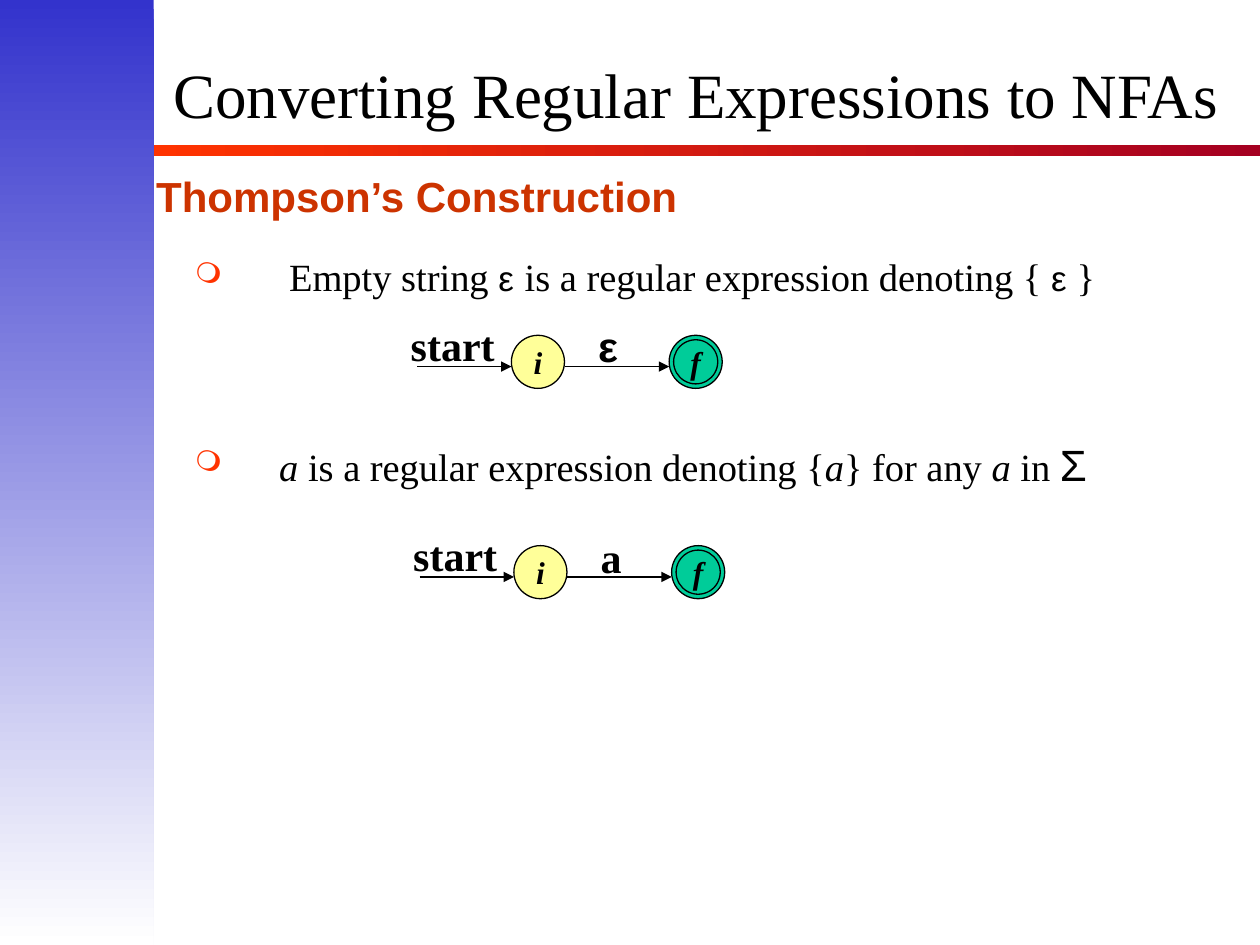
from lxml import etree
from pptx import Presentation
from pptx.dml.color import RGBColor
from pptx.enum.shapes import MSO_CONNECTOR, MSO_SHAPE
from pptx.enum.text import MSO_ANCHOR, MSO_AUTO_SIZE, PP_ALIGN
from pptx.oxml.ns import qn
from pptx.util import Cm, Pt

STRAIGHT = MSO_CONNECTOR.STRAIGHT
OVAL = MSO_SHAPE.OVAL
RECTANGLE = MSO_SHAPE.RECTANGLE
MIDDLE = MSO_ANCHOR.MIDDLE
CENTER = PP_ALIGN.CENTER
FIXED = MSO_AUTO_SIZE.NONE
SERIF = "Times New Roman"
SANS = "Arial"
COLORS = {
    "text": "000000", "heading": "CC3300", "bullet": "FF3300",
    "rule_start": "FF3300", "rule_end": "A50021",
    "side_top": "3333CC", "side_bottom": "FFFFFF",
    "initial": "FFFF99", "final": "00CC99",
}


def color(name):
    return RGBColor.from_string(COLORS[name])


def add_run(paragraph, text, size, name=SERIF, shade="text", **formats):
    run = paragraph.add_run()
    run.text = text
    for key, value in {"size": Pt(size), "name": name, **formats}.items():
        setattr(run.font, key, value)
    run.font.color.rgb = color(shade)


presentation = Presentation()
presentation.slide_width, presentation.slide_height = Cm(25.4), Cm(19.05)
slide = presentation.slides.add_slide(presentation.slide_layouts[5])

bands = [
    ((3.05, 2.92, 22.35, 0.23), 0, ("rule_start", "rule_end")),
    ((0, 0, 3.1, 19.05), 270, ("side_top", "side_bottom")),
]
for box, angle, shades in bands:
    band = slide.shapes.add_shape(RECTANGLE, *map(Cm, box))
    band.shadow.inherit = False
    band.line.fill.background()
    band.fill.gradient()
    band.fill.gradient_angle = angle
    for stop, shade in zip(band.fill.gradient_stops, shades):
        stop.color.rgb = color(shade)

title = slide.shapes.title
title_place = {"left": 2.67, "top": 1.24, "width": 22.71, "height": 1.55}
for key, value in title_place.items():
    setattr(title, key, Cm(value))
title.text_frame.auto_size = FIXED
title.text_frame.vertical_anchor = MIDDLE
paragraph = title.text_frame.paragraphs[0]
paragraph.alignment = CENTER
paragraph.line_spacing = 0.8
add_run(paragraph, "Converting Regular Expressions to NFAs", 36)

body = slide.shapes.add_textbox(Cm(3.68), Cm(5.08), Cm(21.59), Cm(12.9))
body.text_frame.word_wrap = True
italic = {"italic": True}
statements = [
    (1.9, 0, [
        ("Empty string ", 22, SERIF, {}), ("ε", 20, SANS, {}), (" ", 22, SANS, {}),
        ("is a regular expression denoting { ", 22, SERIF, {}),
        ("ε ", 20, SANS, {}), ("}", 22, SERIF, {}),
    ]),
    (1.7, 82, [
        ("a", 22, SERIF, italic), (" is a regular expression denoting {", 22, SERIF, {}),
        ("a", 22, SERIF, italic), ("} for any ", 22, SERIF, {}),
        ("a", 22, SERIF, italic), (" in ", 22, SERIF, {}), ("Σ", 25, SANS, {}),
    ]),
]
for index, (indent, space_before, runs) in enumerate(statements):
    paragraph = body.text_frame.add_paragraph() if index else body.text_frame.paragraphs[0]
    paragraph.line_spacing = 0.9
    paragraph.space_before = Pt(space_before)
    properties = paragraph._p.get_or_add_pPr()
    properties.set("marL", str(Cm(indent)))
    properties.set("indent", str(-Cm(indent)))
    bullet_color = etree.SubElement(properties, qn("a:buClr"))
    etree.SubElement(bullet_color, qn("a:srgbClr"), val=COLORS["bullet"])
    etree.SubElement(properties, qn("a:buSzPct"), val="75000")
    etree.SubElement(properties, qn("a:buChar"), char="❍")
    for text, size, name, formats in runs:
        add_run(paragraph, text, size, name, **formats)

for left, top, symbol, symbol_font in [(10.31, 6.76, "ε", SANS), (10.36, 11, "a", SERIF)]:
    automaton = slide.shapes.add_group_shape()
    states = [
        (0, 0, 1.07, "initial", "i"),
        (3.18, 0, 1.07, "final", "f"),
        (3.27, 0.09, 0.89, None, None),
    ]
    for x, y, diameter, shade, text in states:
        state = automaton.shapes.add_shape(
            OVAL, Cm(left + x), Cm(top + y), Cm(diameter), Cm(diameter))
        state.shadow.inherit = False
        state.line.color.rgb = color("text")
        state.line.width = Pt(0.75)
        if shade is None:
            state.fill.background()
            continue
        state.fill.solid()
        state.fill.fore_color.rgb = color(shade)
        state.text_frame.word_wrap = False
        state.text_frame.vertical_anchor = MIDDLE
        paragraph = state.text_frame.paragraphs[0]
        paragraph.alignment = CENTER
        add_run(paragraph, text, 18, bold=True, italic=True)

    for start, end in [(-1.9, 0), (1.07, 3.18)]:
        arrow = automaton.shapes.add_connector(
            STRAIGHT, Cm(left + start), Cm(top + 0.63), Cm(left + end), Cm(top + 0.63))
        arrow.line.color.rgb = color("text")
        arrow.line.width = Pt(0.75)
        etree.SubElement(arrow.line._get_or_add_ln(), qn("a:tailEnd"), type="triangle")
        etree.SubElement(arrow._element.spPr, qn("a:effectLst"))

    for x, y, width, text, name in [
        (-2.28, -0.45, 2.18, "start", SERIF), (1.5, -0.42, 0.89, symbol, symbol_font),
    ]:
        label = automaton.shapes.add_textbox(Cm(left + x), Cm(top + y), Cm(width), Cm(1.27))
        label.text_frame.word_wrap = False
        label.text_frame.margin_right = Cm(0)
        add_run(label.text_frame.paragraphs[0], text, 24, name, bold=True)

heading = slide.shapes.add_textbox(Cm(2.9), Cm(3.32), Cm(11.05), Cm(1.27))
heading.text_frame.word_wrap = False
add_run(heading.text_frame.paragraphs[0], "Thompson’s Construction", 24, SANS, "heading", bold=True)

presentation.save("out.pptx")
